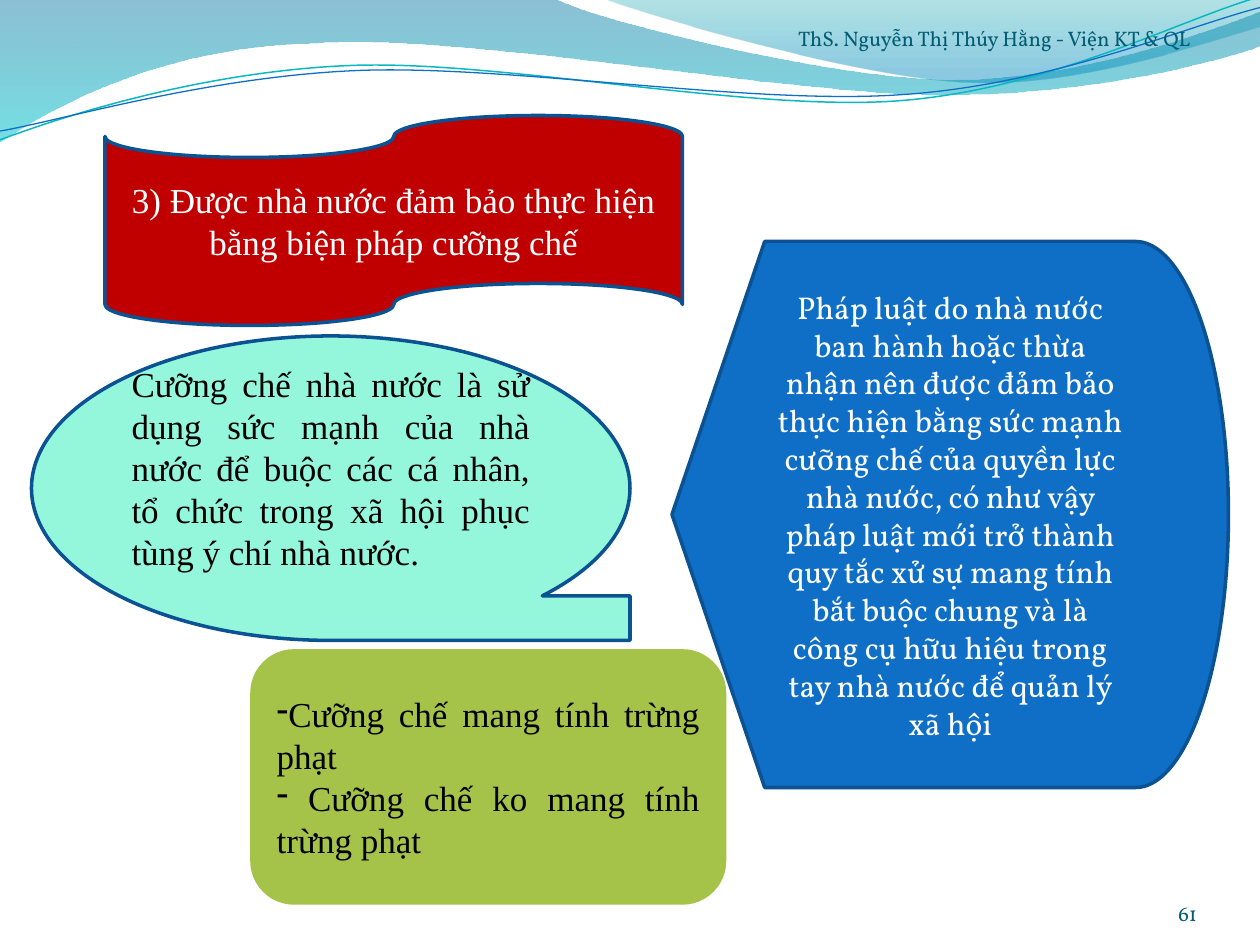
import math

from lxml import etree
from pptx import Presentation
from pptx import util as u
from pptx.dml.color import RGBColor
from pptx.enum import shapes, text
from pptx.oxml import ns

PX = 7620  # EMU per px, 120 px to the inch
CURVE_UNIT = 1.2  # px per unit of the header curves
SERIF, BODY = "Times New Roman", "Vollkorn"
BLUE, NAVY, GREEN, TEAL = "0F6FC6", "0B5292", "A5C249", "045D75"
SHAPE, ALIGN, ANCHOR = shapes.MSO_SHAPE, text.PP_ALIGN, text.MSO_ANCHOR
TILT = -2.7  # degrees, both waves

# Each segment holds one point for a line, or three for a Bezier curve
WIDE_BAND = [
    [(0, 0)], [(440, -1)],
    [(476, 17), (664, 63), (758, 63)], [(853, 63), (958, 26), (1000, 9)],
    [(1001, 36)],
    [(983, 44), (870, 76), (746, 75)], [(622, 75), (382, 28), (257, 34)],
    [(129, 36), (46, 83), (-1, 113)],
]
RIGHT_BAND = [
    [(479, -1)],
    [(509, 11), (682, 62), (769, 65)], [(856, 69), (961, 32), (1000, 21)],
    [(1000, 0)],
]
TEAL_WAVE = [
    [(0, 111)],
    [(48, 93), (158, 57), (277, 52)], [(395, 47), (593, 89), (713, 80)],
    [(833, 71), (938, 15), (998, -2)],
]
BLUE_WAVE = [
    [(0, 104)],
    [(47, 96), (164, 61), (283, 56)], [(403, 51), (597, 84), (717, 75)],
    [(836, 67), (941, 21), (1000, 6)],
]


def px(n):
    return u.Emu(round(n * PX))


def color(value):
    return RGBColor.from_string(value)


def set_line(s, value, width):
    s.line.color.rgb = color(value)
    s.line.width = u.Pt(width)


def rotate(point, center, degrees):
    a = math.radians(degrees)
    dx, dy = point[0] - center[0], point[1] - center[1]
    return (center[0] + dx * math.cos(a) - dy * math.sin(a),
            center[1] + dx * math.sin(a) + dy * math.cos(a))


def add_outline(slide, segments, close):
    """Freeform whose three-point segments become Bezier curves."""
    start, *rest = [(px(x * CURVE_UNIT), px(y * CURVE_UNIT))
                    for segment in segments for x, y in segment]
    builder = slide.shapes.build_freeform(*start)
    builder.add_line_segments(rest, close=close)
    s = builder.convert_to_shape()
    s.shadow.inherit = False
    lines = iter(list(s._element.spPr.iter(ns.qn("a:lnTo"))))
    for segment in segments[1:]:
        group = [next(lines) for _ in segment]
        if len(group) == 3:
            curve = etree.Element(ns.qn("a:cubicBezTo"))
            group[0].addprevious(curve)
            for line in group:
                curve.append(line[0])
                line.getparent().remove(line)
    return s


def add_band(slide, segments, stops):
    """Closed area with a translucent top-to-bottom gradient."""
    s = add_outline(slide, segments, True)
    s.line.fill.background()
    s.fill.gradient()
    s.fill.gradient_angle = 270
    for stop, (position, value, _) in zip(s.fill.gradient_stops, stops):
        stop.position = position
        stop.color.rgb = color(value)
    for rgb, (_, _, opacity) in zip(s._element.spPr.iter(ns.qn("a:srgbClr")), stops):
        etree.SubElement(rgb, ns.qn("a:alpha"), val=str(opacity * 1000))


def add_wave(slide, segments, center, value, width):
    """Open curve, laid level first and then tilted as a shape."""
    level = [[rotate(point, center, -TILT) for point in segment]
             for segment in segments]
    s = add_outline(slide, level, False)
    s.rotation = TILT
    s.fill.background()
    set_line(s, value, width)


def write(tf, lines, font, size, value, align, anchor, bullet=None):
    tf.word_wrap = True
    tf.vertical_anchor = anchor
    for i, line in enumerate(lines):
        p = tf.add_paragraph() if i else tf.paragraphs[0]
        p.alignment = align
        if bullet:
            pPr = p._p.get_or_add_pPr()
            pPr.set("marL", "0")
            pPr.set("indent", "0")
            etree.SubElement(pPr, ns.qn("a:buChar"), char=bullet)
        r = p.add_run()
        r.text = line
        r.font.name = font
        r.font.size = u.Pt(size)
        r.font.color.rgb = color(value)


def add_box(slide, kind, box, fill, line, lines, font, size, value, align,
            bullet=None):
    s = slide.shapes.add_shape(kind, *map(px, box))
    s.shadow.inherit = False
    s.fill.solid()
    s.fill.fore_color.rgb = color(fill)
    set_line(s, line, 2)
    write(s.text_frame, lines, font, size, value, align, ANCHOR.MIDDLE, bullet)
    return s


def add_label(slide, box, line, align):
    tf = slide.shapes.add_textbox(*map(px, box)).text_frame
    tf.margin_left = tf.margin_right = tf.margin_top = tf.margin_bottom = 0
    write(tf, [line], BODY, 12, TEAL, align, ANCHOR.BOTTOM)


def main():
    prs = Presentation()
    prs.slide_width, prs.slide_height = px(1200), px(900)
    slide = prs.slides.add_slide(prs.slide_layouts[6])

    # Wavy header
    add_band(slide, WIDE_BAND, [(0, "0074A1", 45), (1, "00C6CF", 55)])
    add_band(slide, RIGHT_BAND, [(0, "00A1A9", 30), (0.8, "008BBF", 45)])
    add_wave(slide, TEAL_WAVE, (499, 57.5), "0AB8BF", 0.85)
    add_wave(slide, BLUE_WAVE, (499.5, 59), BLUE, 0.75)

    # Heading, definition, explanation and kinds of coercion
    add_box(slide, SHAPE.FLOWCHART_PUNCHED_TAPE, (100, 110, 550, 200),
            "C00000", NAVY,
            ["3) Được nhà nước đảm bảo thực hiện bằng biện pháp cưỡng chế"],
            SERIF, 20, "FFFFFF", ALIGN.CENTER)
    definition = add_box(
        slide, SHAPE.FLOWCHART_SEQUENTIAL_ACCESS_STORAGE, (30, 320, 570, 290),
        "94F7DC", NAVY,
        ["Cưỡng chế nhà nước là sử dụng sức mạnh của nhà nước để buộc các "
         "cá nhân, tổ chức trong xã hội phục tùng ý chí nhà nước."],
        SERIF, 20, "000000", ALIGN.JUSTIFY)
    definition.text_frame.margin_bottom = px(46)  # lifts the text by half a line
    add_box(slide, SHAPE.FLOWCHART_DISPLAY, (640, 230, 530, 520), BLUE, NAVY,
            ["Pháp luật do nhà nước ban hành hoặc thừa nhận nên được đảm bảo "
             "thực hiện bằng sức mạnh cưỡng chế của quyền lực nhà nước, có "
             "như vậy pháp luật mới trở thành quy tắc xử sự mang tính bắt "
             "buộc chung và là công cụ hữu hiệu trong tay nhà nước để quản "
             "lý xã hội"],
            BODY, 18, "FFFFFF", ALIGN.CENTER)
    add_box(slide, SHAPE.ROUNDED_RECTANGLE, (240, 620, 450, 240), GREEN, GREEN,
            ["Cưỡng chế mang tính trừng phạt",
             " Cưỡng chế ko mang tính trừng phạt"],
            SERIF, 20, "000000", ALIGN.JUSTIFY, bullet="-")

    # Author and page number
    add_label(slide, (760, 0, 440, 48),
              "ThS. Nguyễn Thị Thúy Hằng - Viện KT & QL", ALIGN.LEFT)
    add_label(slide, (1040, 834, 100, 48), "61", ALIGN.RIGHT)

    prs.save("out.pptx")


if __name__ == "__main__":
    main()
